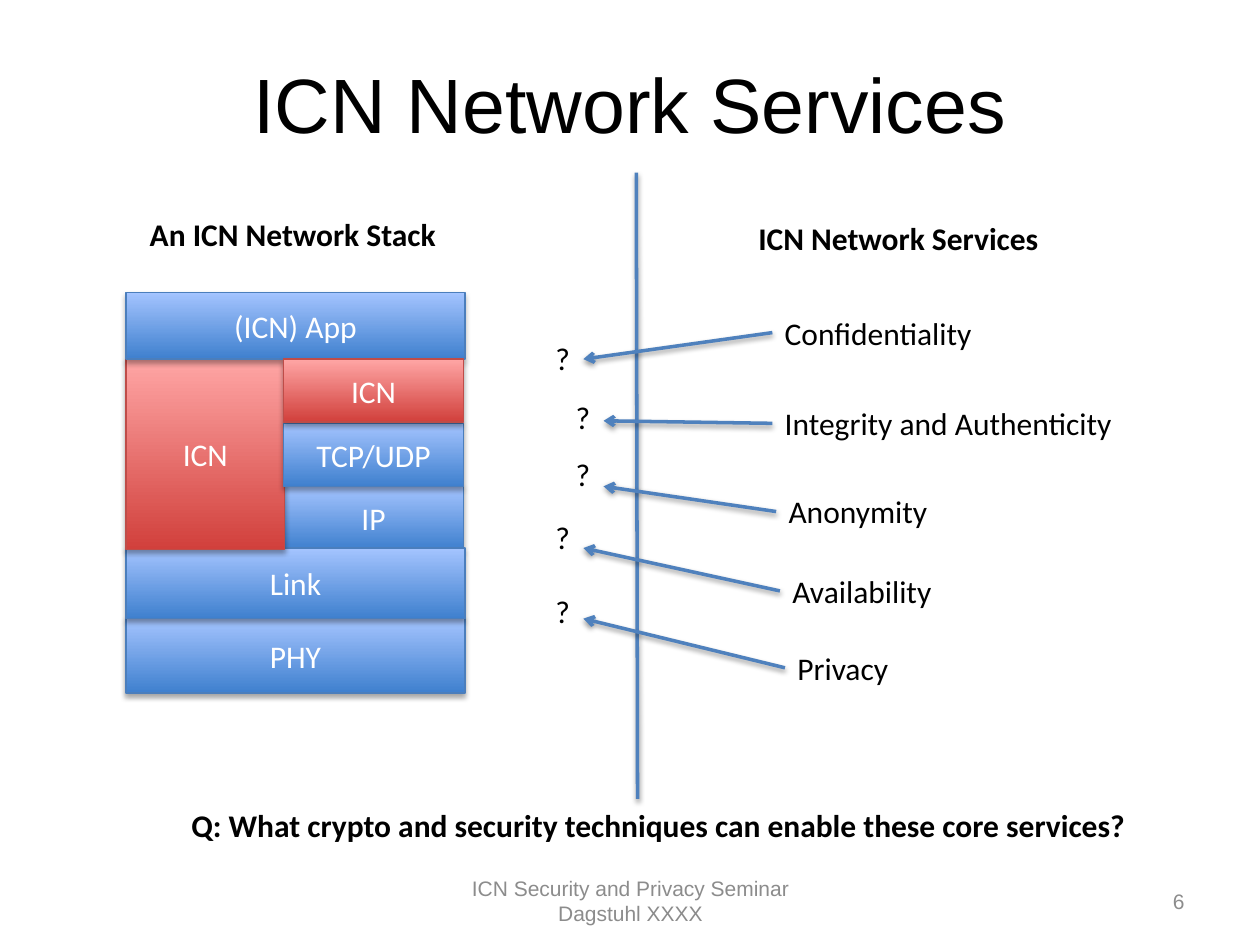
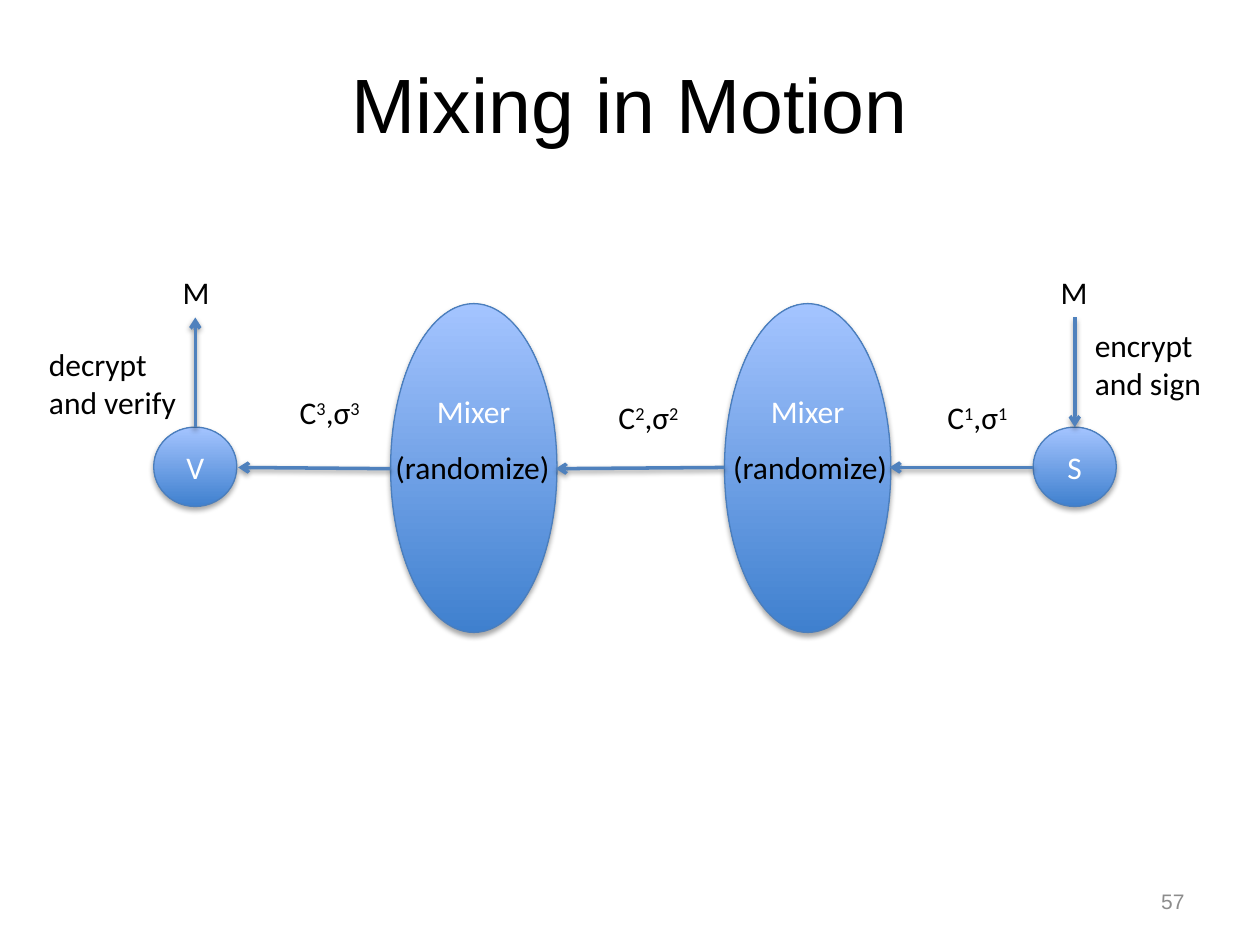
from dataclasses import dataclass

import lxml.etree
import pptx
import pptx.dml.color
import pptx.enum.shapes
import pptx.enum.text
import pptx.oxml.ns
import pptx.util
from pptx.util import Inches

RGBColor = pptx.dml.color.RGBColor
Align = pptx.enum.text.PP_ALIGN
Anchor = pptx.enum.text.MSO_ANCHOR
Preset = pptx.enum.shapes.MSO_SHAPE
qn = pptx.oxml.ns.qn

BLACK = RGBColor(0x00, 0x00, 0x00)
WHITE = RGBColor(0xFF, 0xFF, 0xFF)
GREY = RGBColor(0x8C, 0x8C, 0x8C)
ARROW_BLUE = RGBColor(0x4F, 0x81, 0xBD)


@dataclass(frozen=True)
class Paint:
    bottom: RGBColor
    top: RGBColor
    edge: RGBColor


BLUE = Paint(RGBColor(0x3F, 0x80, 0xCE), RGBColor(0xA4, 0xC4, 0xFF), RGBColor(0x4B, 0x7E, 0xBC))
RED = Paint(RGBColor(0xD1, 0x40, 0x3C), RGBColor(0xFF, 0xA6, 0xA5), RGBColor(0xBF, 0x4C, 0x48))


@dataclass(frozen=True)
class TextStyle:
    size: int = 18
    face: str = "Calibri"
    color: RGBColor = BLACK
    bold: bool = False
    align: Align = Align.LEFT
    anchor: Anchor = Anchor.TOP
    wrap: bool = False


BODY = TextStyle()
HEADING = TextStyle(bold=True)
IN_SHAPE = TextStyle(color=WHITE, align=Align.CENTER, anchor=Anchor.MIDDLE, wrap=True)
TITLE = TextStyle(44, "Arial", align=Align.CENTER, wrap=True)
FOOTER = TextStyle(12, "Arial", GREY, align=Align.CENTER, anchor=Anchor.MIDDLE, wrap=True)
PAGE_NUMBER = TextStyle(12, "Arial", GREY, align=Align.RIGHT, anchor=Anchor.MIDDLE, wrap=True)


@dataclass(frozen=True)
class Block:
    text: str
    left: float
    top: float
    width: float
    height: float
    paint: Paint = BLUE
    preset: Preset = Preset.RECTANGLE
    bottom_inset: float = 0.05


@dataclass(frozen=True)
class Label:
    text: str
    left: float
    top: float
    width: float
    height: float = 0.4
    style: TextStyle = BODY


@dataclass(frozen=True)
class Service:
    name: str
    left: float
    top: float
    width: float
    question_left: float
    question_top: float
    tip: float


@dataclass(frozen=True)
class Line:
    start: tuple[float, float]
    end: tuple[float, float]
    arrow: bool = True


STACK = (
    Block("IP", 2.25, 3.86, 1.43, 0.5),
    Block("PHY", 1, 4.91, 2.69, 0.59),
    Block("Link", 1, 4.35, 2.69, 0.56),
    Block("ICN", 1, 2.85, 1.26, 1.51, RED),
    Block("(ICN) App", 1, 2.32, 2.69, 0.53),
    Block("TCP/UDP", 2.25, 3.36, 1.43, 0.5),
    Block("ICN", 2.25, 2.85, 1.43, 0.5, RED),
)
SERVICES = (
    Service("Confidentiality", 6.13, 2.44, 1.7, 4.31, 2.64, 2.85),
    Service("Integrity and Authenticity", 6.13, 3.16, 2.83, 4.47, 3.11, 3.34),
    Service("Anonymity", 6.16, 3.86, 1.32, 4.47, 3.56, 3.86),
    Service("Availability", 6.19, 4.49, 1.32, 4.31, 4.06, 4.35),
    Service("Privacy", 6.23, 5.1, 0.93, 4.31, 4.65, 4.91),
)
HEADINGS = (
    Label("An ICN Network Stack", 1.09, 1.66, 2.5, style=HEADING),
    Label("ICN Network Services", 5.92, 1.69, 2.45, style=HEADING),
    Label(
        "Q: What crypto and security techniques can enable these core services?",
        1.42, 6.35, 7.71, style=HEADING,
    ),
)
ENDPOINTS = (("V", 1.22), ("S", 8.2))
MIXERS = ((3.1, 3.04), (5.75, 5.72))
HOPS = (
    Line((8.2, 3.71), (7.06, 3.71)),
    Line((5.75, 3.71), (4.41, 3.72)),
    Line((3.1, 3.72), (1.89, 3.71)),
    Line((8.53, 2.52), (8.53, 3.39)),
    Line((1.55, 3.39), (1.55, 2.52)),
)
CIPHERTEXTS = (("1", 7.42, 3.11), ("2", 4.81, 3.11), ("3", 2.28, 3.07))
ACTIONS = (
    Label("M", 1.35, 2.12, 0.42),
    Label("M", 8.32, 2.12, 0.42),
    Label("encrypt\nand sign", 8.59, 2.54, 1.05, 0.71),
    Label("decrypt\nand verify", 0.29, 2.69, 1.23, 0.71),
)


def add_shadow(item, distance: float, opacity: int) -> None:
    effects = lxml.etree.SubElement(item._element.spPr, qn("a:effectLst"))
    shadow = lxml.etree.SubElement(
        effects,
        qn("a:outerShdw"),
        blurRad=str(pptx.util.Pt(3.1)),
        dist=str(pptx.util.Pt(distance)),
        dir="5400000",
        rotWithShape="0",
    )
    color = lxml.etree.SubElement(shadow, qn("a:srgbClr"), val=str(BLACK))
    lxml.etree.SubElement(color, qn("a:alpha"), val=str(opacity * 1000))


def style_text(frame, style: TextStyle) -> None:
    frame.word_wrap = style.wrap
    frame.vertical_anchor = style.anchor
    for para in frame.paragraphs:
        para.alignment = style.align
        para.font.size = pptx.util.Pt(style.size)
        para.font.name = style.face
        para.font.bold = style.bold
        para.font.color.rgb = style.color


def add_label(page, label: Label):
    box = page.shapes.add_textbox(
        Inches(label.left), Inches(label.top), Inches(label.width), Inches(label.height)
    )
    box.text_frame.text = label.text
    style_text(box.text_frame, label.style)
    return box


def add_block(page, block: Block) -> None:
    shape = page.shapes.add_shape(
        block.preset,
        Inches(block.left), Inches(block.top), Inches(block.width), Inches(block.height),
    )
    shape.fill.gradient()
    shape.fill.gradient_angle = 90
    for stop, color in zip(shape.fill.gradient_stops, (block.paint.bottom, block.paint.top)):
        stop.color.rgb = color
    shape.line.color.rgb = block.paint.edge
    shape.line.width = pptx.util.Pt(0.75)
    add_shadow(shape, 1.8, 35)
    shape.text_frame.text = block.text
    shape.text_frame.margin_bottom = Inches(block.bottom_inset)
    style_text(shape.text_frame, IN_SHAPE)


def add_line(page, line: Line) -> None:
    connector = page.shapes.add_connector(
        pptx.enum.shapes.MSO_CONNECTOR.STRAIGHT,
        *(Inches(value) for value in line.start + line.end),
    )
    connector.line.color.rgb = ARROW_BLUE
    connector.line.width = pptx.util.Pt(2)
    if line.arrow:
        lxml.etree.SubElement(connector.line._get_or_add_ln(), qn("a:tailEnd"), type="arrow")
    add_shadow(connector, 1.6, 38)


def add_ciphertext(page, number: str, left: float, top: float) -> None:
    box = add_label(page, Label("", left, top, 0.71))
    para = box.text_frame.paragraphs[0]
    for symbol in ("C", ",σ"):
        para.add_run().text = symbol
        span = para.add_run()
        span.text = number
        span._r.get_or_add_rPr().set("baseline", "30000")


def add_page(deck, title: str, number: int):
    page = deck.slides.add_slide(deck.slide_layouts[6])
    add_label(page, Label(title, 0.5, 0.4, 9, 1.25, TITLE))
    add_label(page, Label(str(number), 7.17, 6.95, 2.33, style=PAGE_NUMBER))
    return page


def build_services(deck) -> None:
    page = add_page(deck, "ICN Network Services", 6)
    add_label(
        page, Label("ICN Security and Privacy Seminar\nDagstuhl XXXX", 3.42, 6.95, 3.17, style=FOOTER)
    )
    for block in STACK:
        add_block(page, block)
    for heading in HEADINGS:
        add_label(page, heading)
    add_line(page, Line((5.06, 6.34), (5.05, 1.37), arrow=False))
    for service in SERVICES:
        add_label(page, Label(service.name, service.left, service.top, service.width))
        add_label(page, Label("?", service.question_left, service.question_top, 0.32))
        add_line(
            page,
            Line((service.left, service.top + 0.2), (service.question_left + 0.32, service.tip)),
        )


def build_mixing(deck) -> None:
    page = add_page(deck, "Mixing in Motion", 57)
    for name, left in ENDPOINTS:
        add_block(page, Block(name, left, 3.39, 0.66, 0.63, preset=Preset.OVAL))
    for left, _ in MIXERS:
        add_block(
            page,
            Block("Mixer", left, 2.41, 1.32, 2.61, preset=Preset.OVAL, bottom_inset=0.96),
        )
    for hop in HOPS:
        add_line(page, hop)
    for number, left, top in CIPHERTEXTS:
        add_ciphertext(page, number, left, top)
    for _, caption_left in MIXERS:
        add_label(page, Label("(randomize)", caption_left, 3.51, 1.45))
    for action in ACTIONS:
        add_label(page, action)


def main() -> None:
    deck = pptx.Presentation()
    deck.slide_width = Inches(10)
    deck.slide_height = Inches(7.5)
    build_services(deck)
    build_mixing(deck)
    deck.save("out.pptx")


if __name__ == "__main__":
    main()
